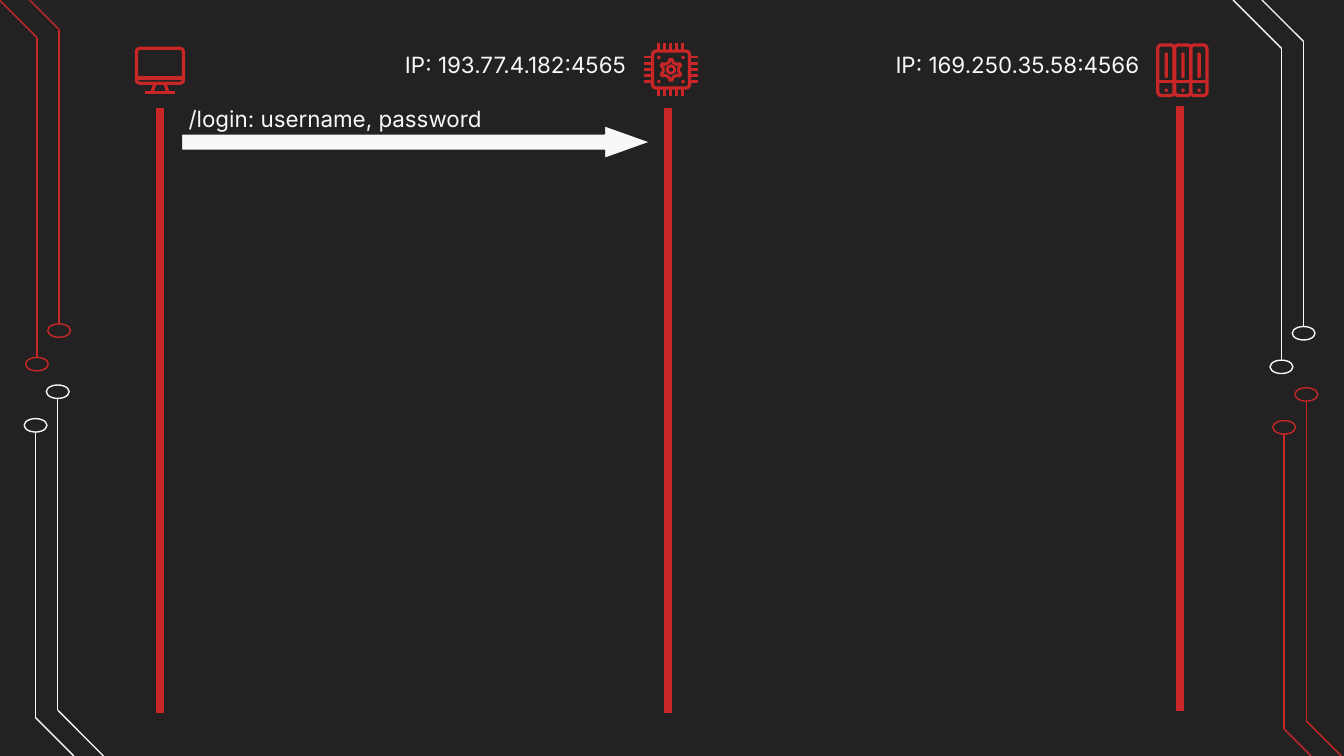
"""Build a slide showing a login request sent from a client to an application server."""
from pptx import Presentation
from pptx.dml.color import RGBColor
from pptx.enum.shapes import MSO_CONNECTOR, MSO_SHAPE
from pptx.oxml.ns import qn
from pptx.util import Pt
from lxml import etree

PX = 4572
WIDTH, HEIGHT = 2000, 1125
RED = RGBColor(0xC9, 0x27, 0x27)
WHITE = RGBColor(0xF8, 0xF8, 0xF8)
DARK = RGBColor(0x23, 0x21, 0x21)
STRAIGHT = MSO_CONNECTOR.STRAIGHT
RECTANGLE = MSO_SHAPE.RECTANGLE
ROUNDED = MSO_SHAPE.ROUNDED_RECTANGLE
OVAL = MSO_SHAPE.OVAL
GEAR = MSO_SHAPE.GEAR_6
ARROW = MSO_SHAPE.RIGHT_ARROW


def add_line(x1, y1, x2, y2, color, weight=0.75):
    line = page.shapes.add_connector(STRAIGHT, x1 * PX, y1 * PX, x2 * PX, y2 * PX)
    line.line.color.rgb = color
    line.line.width = Pt(weight)
    etree.SubElement(line._element.spPr, qn("a:effectLst"))


def add_shape(kind, left, top, width, height, fill, outline, weight=0.75):
    shape = page.shapes.add_shape(kind, left * PX, top * PX, width * PX, height * PX)
    shape.shadow.inherit = False
    if fill is None:
        shape.fill.background()
    else:
        shape.fill.solid()
        shape.fill.fore_color.rgb = fill
    if outline is None:
        shape.line.fill.background()
    else:
        shape.line.color.rgb = outline
        shape.line.width = Pt(weight)
    return shape


deck = Presentation()
deck.slide_width, deck.slide_height = WIDTH * PX, HEIGHT * PX
page = deck.slides.add_slide(deck.slide_layouts[6])
page.background.fill.solid()
page.background.fill.fore_color.rgb = DARK

circuit_traces = [
    (RED, 55, 0, 56, 532), (RED, 88, 0, 44, 482),
    (WHITE, 86, HEIGHT, 1057, 573), (WHITE, 53, HEIGHT, 1068, 623),
    (RED, 1944, HEIGHT, 1073, 577), (RED, 1911, HEIGHT, 1085, 626),
    (WHITE, 1907, 0, 72, 536), (WHITE, 1940, 0, 62, 486),
]
for color, x, edge, bend, node_top in circuit_traces:
    add_line(x + edge - bend, edge, x, bend, color)
    add_line(x, bend, x, node_top if edge == 0 else node_top + 20, color)
    add_shape(OVAL, x - 17, node_top, 34, 20, DARK, color)

for left, top in [(233, 162), (989, 162), (1751, 159)]:
    add_shape(RECTANGLE, left, top, 10, 898, RED, RED)

screen = add_shape(ROUNDED, 203, 72, 70, 52, None, RED, 1.75)
screen.adjustments[0] = 0.1
for x1, y1, x2, y2 in [(203, 116, 273, 116), (230, 126, 226, 138),
                       (246, 126, 250, 138), (216, 138, 260, 138)]:
    add_line(x1, y1, x2, y2, RED, 1.75)

chip = add_shape(ROUNDED, 971, 76, 55, 55, None, RED, 1.75)
chip.adjustments[0] = 0.1
for x in (980, 989, 998, 1007, 1016):
    for top, bottom in [(64, 74), (133, 143)]:
        add_line(x, top, x, bottom, RED, 1.5)
for y in (85, 94, 103, 112, 121):
    for left, right in [(959, 969), (1028, 1038)]:
        add_line(left, y, right, y, RED, 1.5)
for left in (978, 1014):
    for top in (83, 119):
        add_shape(OVAL, left, top, 5, 5, RED, None)
add_shape(GEAR, 982, 88, 33, 32, None, RED, 1.5)
add_shape(OVAL, 993, 98, 11, 11, None, RED, 1.5)

for left in (1723, 1748, 1772):
    server = add_shape(ROUNDED, left, 67, 24, 75, None, RED, 1.75)
    server.adjustments[0] = 0.2
    slot = add_shape(ROUNDED, left + 10, 78, 5, 38, RED, None)
    slot.adjustments[0] = 0.5
    add_shape(OVAL, left + 10, 132, 5, 5, RED, None)
add_line(1723, 121, 1796, 121, RED, 1.75)

request = add_shape(ARROW, 270, 187, 698, 49, WHITE, DARK)
request.adjustments[0] = 0.5
request.adjustments[1] = 1.4

labels = [
    ("/login: username, password", 261, 136, 1042),
    ("IP: 193.77.4.182:4565", 583, 56, 376),
    ("IP: 169.250.35.58:4566", 1313, 56, 408),
]
for text, left, top, width in labels:
    box = page.shapes.add_textbox(left * PX, top * PX, width * PX, 80 * PX)
    frame = box.text_frame
    frame.word_wrap = True
    frame.margin_left = frame.margin_right = 20 * PX
    frame.margin_top = frame.margin_bottom = 20 * PX
    para = frame.paragraphs[0]
    para.text = text
    para.font.name = "Inter"
    para.font.size = Pt(12)
    para.font.color.rgb = WHITE

deck.save("out.pptx")
